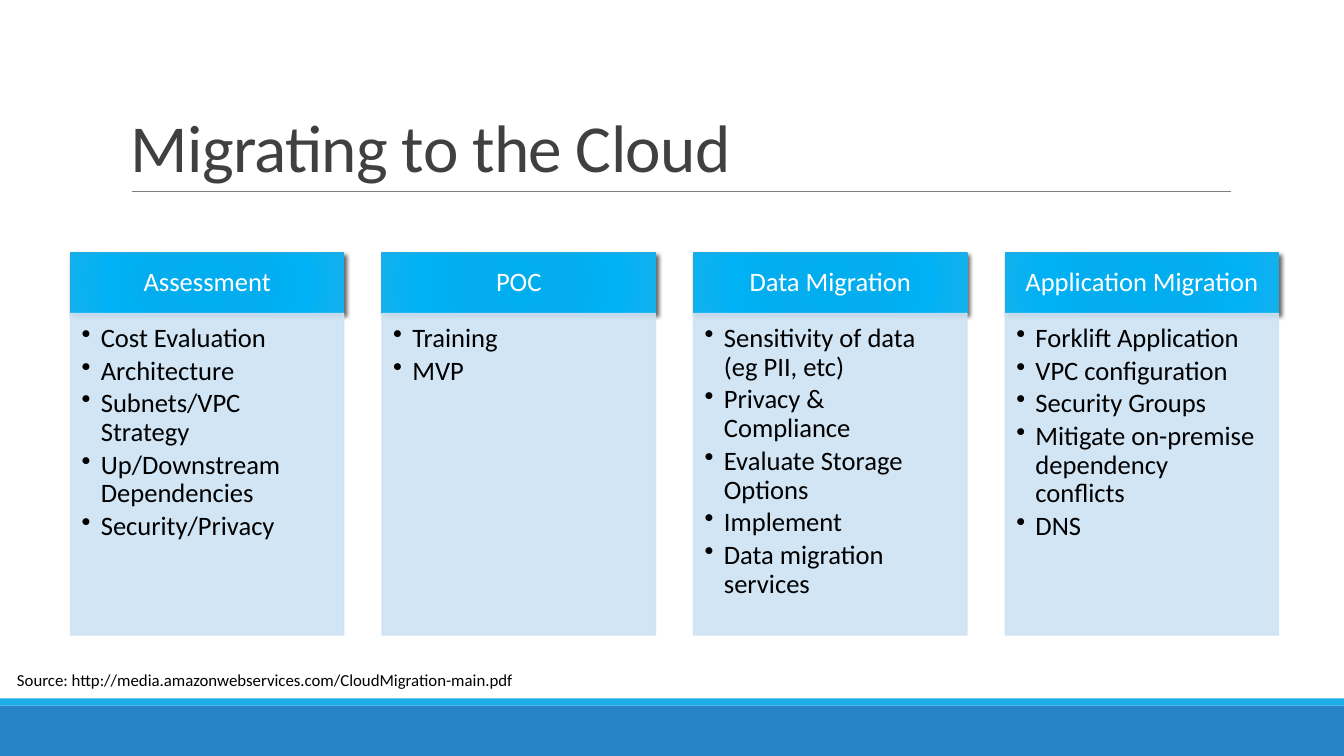
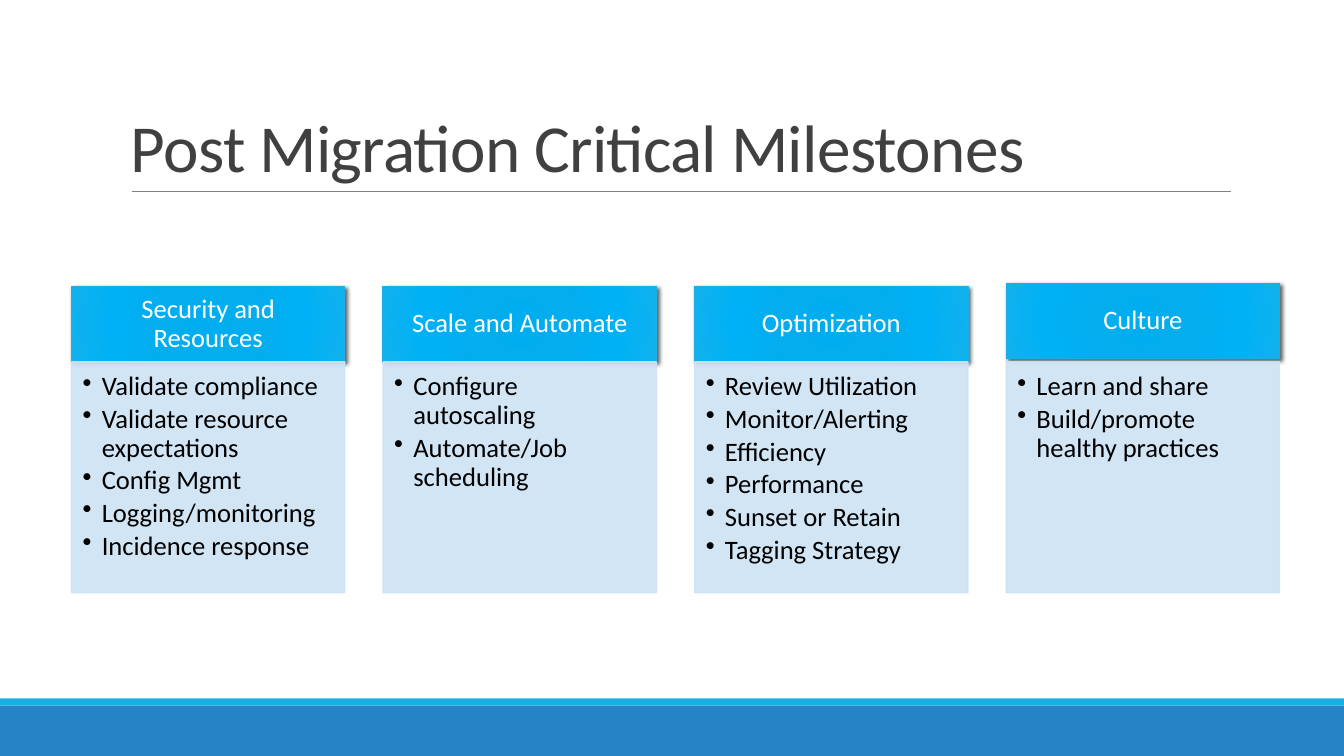
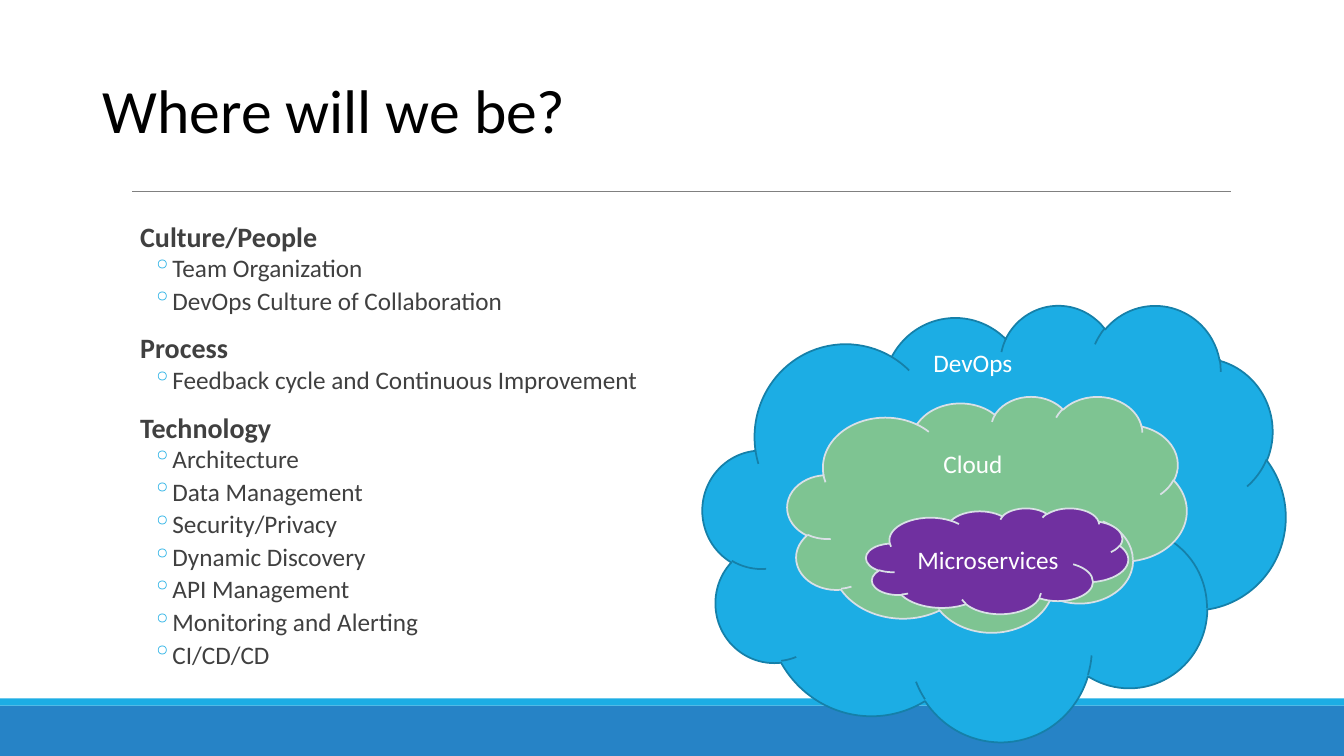
from lxml import etree
from pptx import Presentation
from pptx.dml.color import RGBColor
from pptx.enum.shapes import MSO_CONNECTOR, MSO_SHAPE
from pptx.enum.text import MSO_ANCHOR, PP_ALIGN
from pptx.oxml import parse_xml
from pptx.oxml.ns import qn
from pptx.util import Inches, Pt

RECT, CLOUD = MSO_SHAPE.RECTANGLE, MSO_SHAPE.CLOUD
LINE = MSO_CONNECTOR.STRAIGHT
TOP, MID, LOW = MSO_ANCHOR.TOP, MSO_ANCHOR.MIDDLE, MSO_ANCHOR.BOTTOM
LEFT, MIDDLE = PP_ALIGN.LEFT, PP_ALIGN.CENTER

FONT = "Calibri"
BLACK = RGBColor(0, 0, 0)
WHITE = RGBColor(0xFF, 0xFF, 0xFF)
DARK = RGBColor(0x40, 0x40, 0x40)
GRAY = RGBColor(0x80, 0x80, 0x80)
BLUE = RGBColor(0x26, 0x83, 0xC6)
SKY = RGBColor(0x1C, 0xAD, 0xE4)
PALE = RGBColor(0xCD, 0xE3, 0xF5)
TEAL = RGBColor(0x15, 0x80, 0xA9)
GREEN = RGBColor(0x7E, 0xC4, 0x92)
PURPLE = RGBColor(0x70, 0x30, 0xA0)
MIST = RGBColor(0xD9, 0xE0, 0xE6)

SPACE = 'xmlns:a="http://schemas.openxmlformats.org/drawingml/2006/main"'
STOPS = ((0, "00ADEF"), (34, "03ADEE"), (70, "00B1F5"), (100, "12B1EE"))
GLOW = (
    f'<a:gradFill {SPACE} rotWithShape="1"><a:gsLst>'
    + "".join(f'<a:gs pos="{pos * 1000}"><a:srgbClr val="{tone}"/></a:gs>'
              for pos, tone in STOPS)
    + '</a:gsLst><a:path path="circle"><a:fillToRect l="100000" t="100000" '
      'r="100000" b="100000"/></a:path></a:gradFill>')
SHADE = (
    f'<a:outerShdw {SPACE} blurRad="{Pt(3)}" dist="{Pt(2)}" dir="2700000" '
    'rotWithShape="0"><a:srgbClr val="000000"><a:alpha val="60000"/>'
    '</a:srgbClr></a:outerShdw>')


def write(frame, lines, size=18, color=BLACK, bold=False, align=LEFT,
          anchor=TOP, inset=(0.1, 0.05, 0.1, 0.05), wrap=True, pitch=1.0,
          before=0, after=0, left=0, hang=0, bullet=None, tint=None, track=0):
    """Add each line to the frame as a paragraph in one format."""
    frame.word_wrap = wrap
    frame.vertical_anchor = anchor
    (frame.margin_left, frame.margin_top,
     frame.margin_right, frame.margin_bottom) = map(Inches, inset)
    for line in lines:
        first = not frame.text
        para = frame.paragraphs[0] if first else frame.add_paragraph()
        props = para._p.get_or_add_pPr()
        props.set("marL", str(Inches(left)))
        props.set("indent", str(-Inches(hang)))
        if tint:
            mark = etree.SubElement(props, qn("a:buClr"))
            etree.SubElement(mark, qn("a:srgbClr"), val=str(tint))
        if bullet:
            etree.SubElement(props, qn("a:buChar"), char=bullet)
        para.alignment = align
        para.line_spacing = pitch
        para.space_before = Pt(0 if first else before)
        para.space_after = Pt(after)
        run = para.add_run()
        run.text = line
        run.font.name, run.font.size = FONT, Pt(size)
        run.font.bold, run.font.color.rgb = bold, color
        if track:
            run._r.get_or_add_rPr().set("spc", str(int(track * 100)))


def draw(slide, kind, at, fill, edge=None, width=1):
    """Add a flat filled shape, with an outline if an edge colour is given."""
    shape = slide.shapes.add_shape(kind, *map(Inches, at))
    shape.shadow.inherit = False
    shape.fill.solid()
    shape.fill.fore_color.rgb = fill
    if edge is None:
        shape.line.fill.background()
    else:
        shape.line.color.rgb = edge
        shape.line.width = Pt(width)
    return shape


deck = Presentation()
deck.slide_width, deck.slide_height = Inches(13.33), Inches(7.5)

# Bands, rule and title of every slide
PLAIN = dict(at=(1.2, 0.31, 11, 1.59), size=48, color=DARK, anchor=LOW,
             pitch=0.85, track=-0.5)
LARGE = dict(at=(0.92, 0.4, 11.5, 1.45), size=44, color=BLACK, anchor=MID,
             pitch=0.9)
slides = []
for title, style in (("Migrating to the Cloud", PLAIN),
                     ("Post Migration Critical Milestones", PLAIN),
                     ("Where will we be?", LARGE)):
    slide = deck.slides.add_slide(deck.slide_layouts[6])
    draw(slide, RECT, (0, 7, 13.33, 0.5), BLUE)
    draw(slide, RECT, (0, 6.93, 13.33, 0.07), SKY)
    rule = slide.shapes.add_connector(
        LINE, Inches(1.31), Inches(1.9), Inches(12.21), Inches(1.9))
    rule.line.color.rgb, rule.line.width = GRAY, Pt(0.5)
    etree.SubElement(rule._element.spPr, qn("a:effectLst"))
    form = dict(style)
    box = slide.shapes.add_textbox(*map(Inches, form.pop("at")))
    write(box.text_frame, [title], **form)
    slides.append(slide)
move, after, goal = slides

# Columns of the first two slides: left, top, head and body heights, lift
WIDE, STEP = 2.71, 3.09
boards = (
    (move, 0.7, 2.51, 0.6, 3.19, (
        ("Assessment", 0, ("Cost Evaluation", "Architecture",
                           "Subnets/VPC Strategy",
                           "Up/Downstream Dependencies", "Security/Privacy")),
        ("POC", 0, ("Training", "MVP")),
        ("Data Migration", 0, ("Sensitivity of data (eg PII, etc)",
                               "Privacy & Compliance",
                               "Evaluate Storage Options", "Implement",
                               "Data migration services")),
        ("Application Migration", 0, (
            "Forklift Application", "VPC configuration", "Security Groups",
            "Mitigate on-premise dependency conflicts", "DNS")))),
    (after, 0.71, 2.84, 0.75, 2.29, (
        ("Security and Resources", 0, (
            "Validate compliance", "Validate resource expectations",
            "Config Mgmt", "Logging/monitoring", "Incidence response")),
        ("Scale and Automate", 0, ("Configure autoscaling",
                                   "Automate/Job scheduling")),
        ("Optimization", 0, ("Review Utilization", "Monitor/Alerting",
                             "Efficiency", "Performance", "Sunset or Retain",
                             "Tagging Strategy")),
        ("Culture", 0.03, ("Learn and share",
                           "Build/promote healthy practices")))),
)
for slide, start, top, high, deep, columns in boards:
    for i, (name, lift, items) in enumerate(columns):
        x = start + i * STEP
        head = draw(slide, RECT, (x, top - lift, WIDE, high), SKY, SKY)
        props = head._element.spPr
        props.replace(props.find(qn("a:solidFill")), parse_xml(GLOW))
        props.find(qn("a:effectLst")).append(parse_xml(SHADE))
        write(head.text_frame, [name], size=19, color=WHITE, align=MIDDLE,
              anchor=MID, inset=(0.15, 0.08, 0.15, 0.08), pitch=0.9)
        body = draw(slide, RECT, (x, top + high, WIDE, deep), PALE, PALE)
        for tone in body._element.spPr.iter(qn("a:srgbClr")):
            etree.SubElement(tone, qn("a:alpha"), val="90000")
        write(body.text_frame, items, size=19, pitch=0.9, after=2.8,
              inset=(0.11, 0.11, 0.15, 0.17), left=0.19, hang=0.19,
              bullet="•")

# Source line
box = move.shapes.add_textbox(Inches(0.07), Inches(6.6),
                              Inches(5.32), Inches(0.3))
write(box.text_frame,
      ["Source: http://media.amazonwebservices.com/CloudMigration-main.pdf"],
      size=12)

# Goals
groups = (
    ("Culture/People", ("Team Organization",
                        "DevOps Culture of Collaboration")),
    ("Process", ("Feedback cycle and Continuous Improvement",)),
    ("Technology", ("Architecture", "Data Management", "Security/Privacy",
                    "Dynamic Discovery", "API Management",
                    "Monitoring and Alerting", "CI/CD/CD")),
)
box = goal.shapes.add_textbox(Inches(1.29), Inches(2.19),
                              Inches(6.71), Inches(4.76))
base = dict(color=DARK, inset=(0, 0.05, 0, 0.05), pitch=0.8)
for name, items in groups:
    write(box.text_frame, [name], size=20, bold=True, before=12, after=2,
          left=0.1, **base)
    write(box.text_frame, items, before=2, after=4, left=0.42, hang=0.2,
          bullet="◦", tint=SKY, **base)

# Nested clouds, each with a label centred on (x, y)
clouds = (
    ("DevOps", (6.97, 3.02, 5.78, 4.33), SKY, TEAL, 9.65, 3.6),
    ("Cloud", (7.81, 3.93, 3.96, 2.34), GREEN, MIST, 9.65, 4.6),
    ("Microservices", (8.59, 5.04, 2.6, 1.05), PURPLE, MIST, 9.8, 5.55),
)
for name, at, fill, edge, x, y in clouds:
    draw(goal, CLOUD, at, fill, edge, 1.25)
    label = goal.shapes.add_textbox(Inches(x - 0.9), Inches(y - 0.2),
                                    Inches(1.8), Inches(0.4))
    write(label.text_frame, [name], color=WHITE, align=MIDDLE, anchor=MID)

deck.save("out.pptx")
